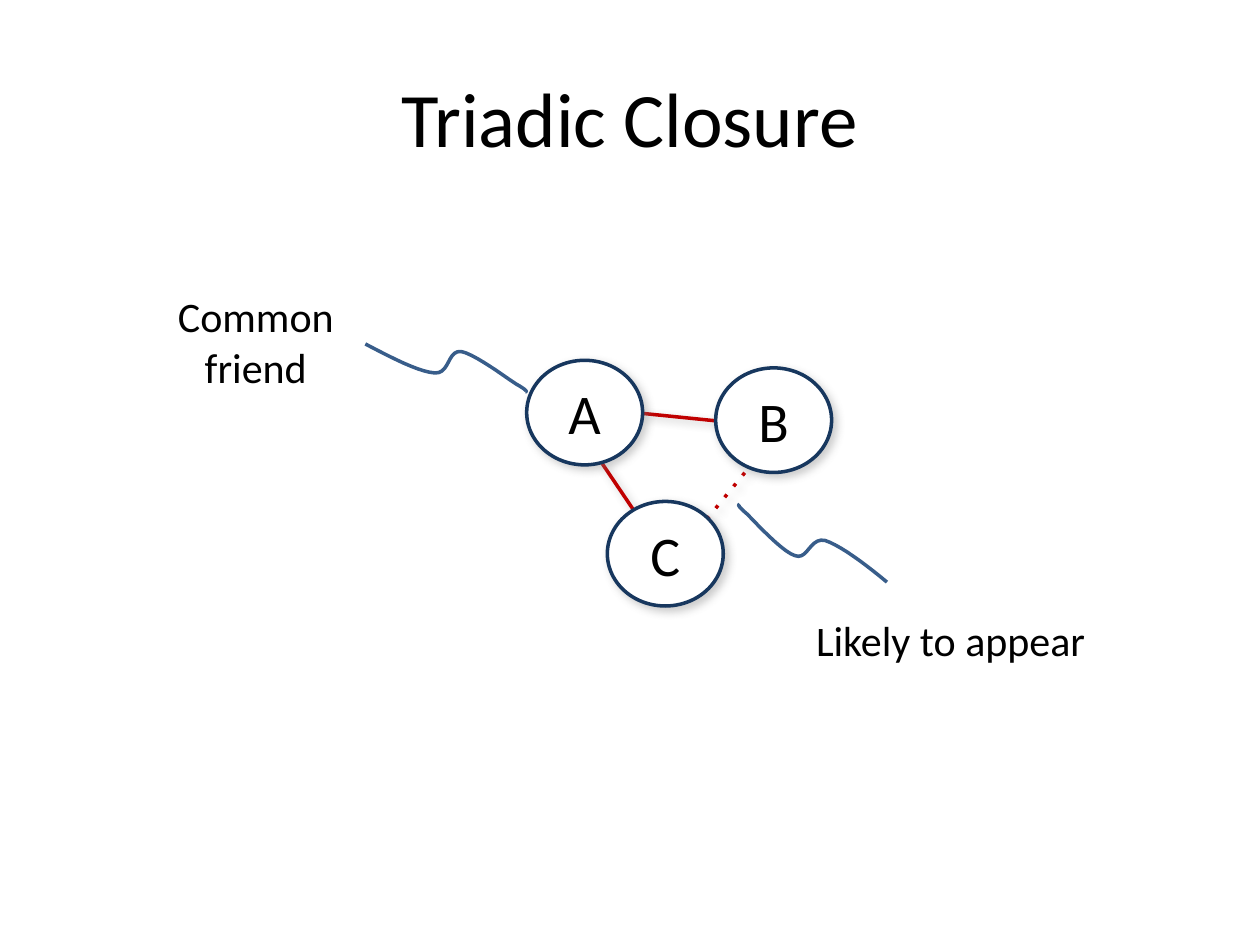
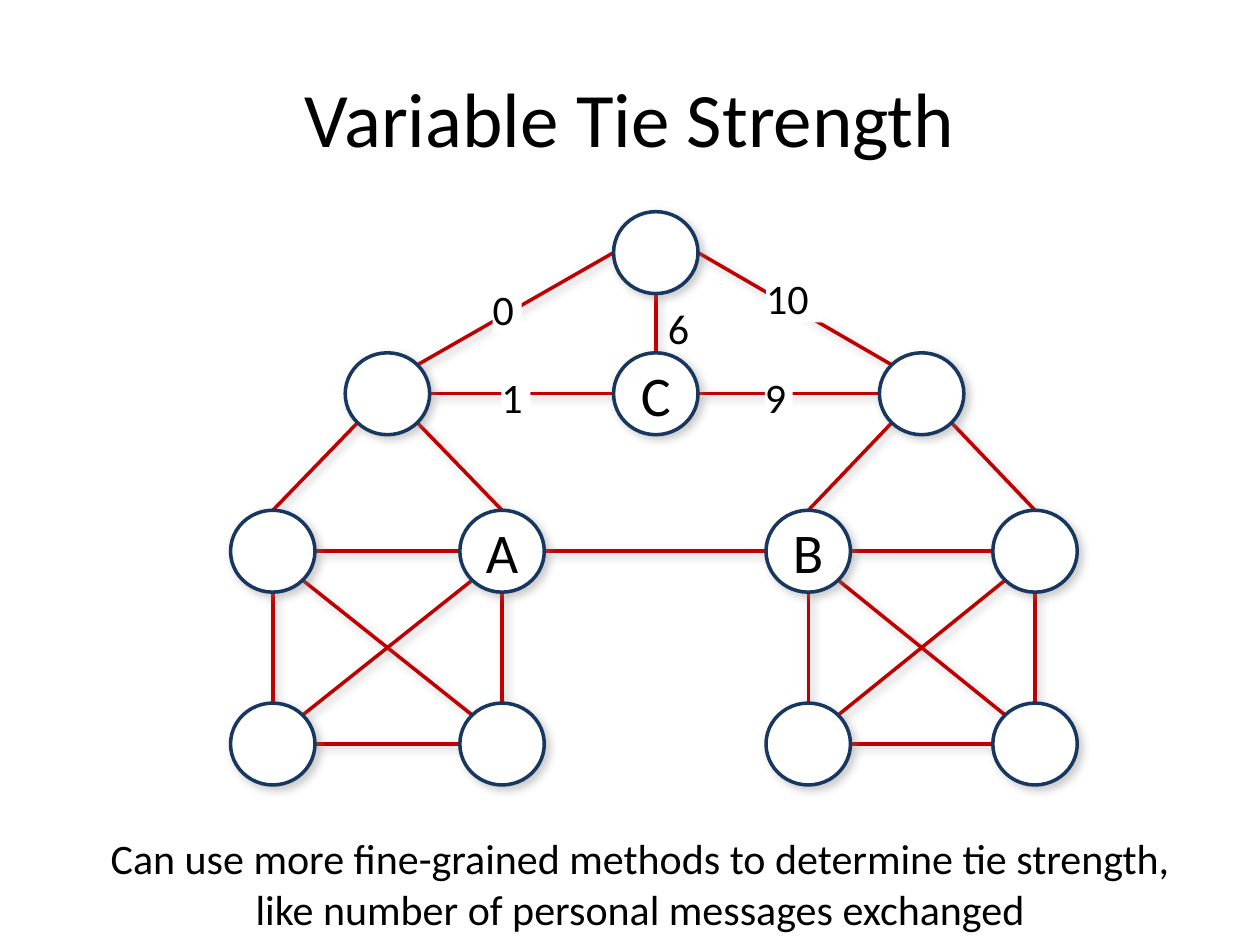
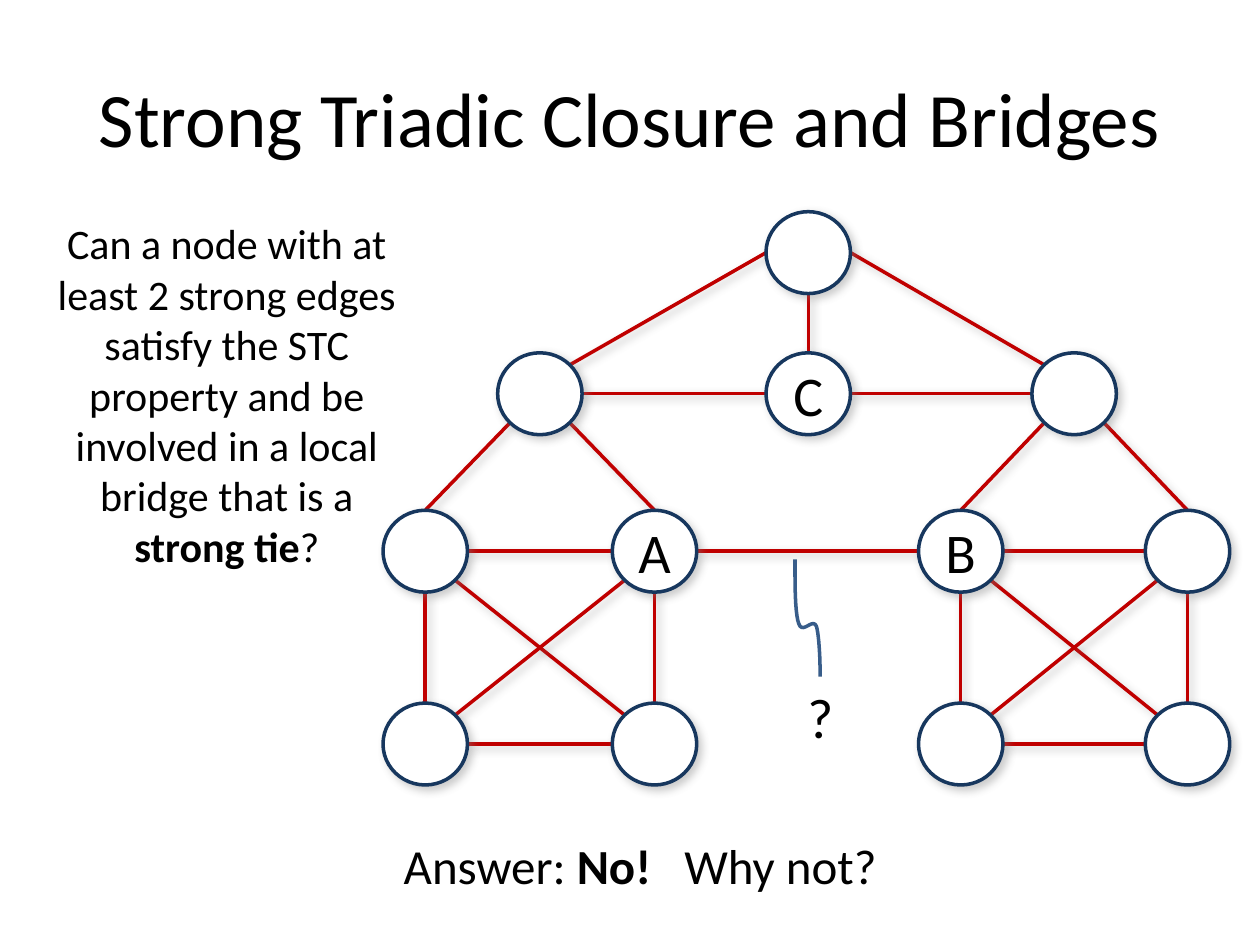
"""Build three slides about triadic closure and tie strength in networks."""
from lxml import etree
from pptx import Presentation
from pptx.dml.color import RGBColor
from pptx.enum.shapes import MSO_CONNECTOR, MSO_SHAPE
from pptx.enum.text import MSO_ANCHOR, PP_ALIGN
from pptx.oxml import parse_xml
from pptx.oxml.ns import nsdecls, qn
from pptx.util import Inches, Pt

CENTER, LEFT = PP_ALIGN.CENTER, PP_ALIGN.LEFT
MIDDLE = MSO_ANCHOR.MIDDLE
OVAL = MSO_SHAPE.OVAL
STRAIGHT = MSO_CONNECTOR.STRAIGHT

COLORS = {
    "text": "000000",
    "node": "FFFFFF",
    "outline": "17375E",
    "edge": "C00000",
    "pointer": "385D8A",
    "shadow": "808080",
}
FONT = "Calibri"
LINE_WIDTH = Pt(2)
GAP = " "
CURVE_STEPS = 10

NODE_WIDTH, NODE_HEIGHT = 0.67, 0.65
NETWORK_NODES = {
    "top": (4.87, 1.68, ""),
    "C": (4.87, 2.8, "C"),
    "left": (2.74, 2.8, ""),
    "right": (6.98, 2.8, ""),
    "A": (3.65, 4.05, "A"),
    "A side": (1.83, 4.05, ""),
    "A below": (3.65, 5.58, ""),
    "A corner": (1.83, 5.58, ""),
    "B": (6.08, 4.05, "B"),
    "B side": (7.88, 4.05, ""),
    "B below": (6.08, 5.58, ""),
    "B corner": (7.88, 5.58, ""),
}
SITES = {
    "n": (0.5, 0), "s": (0.5, 1), "w": (0, 0.5), "e": (1, 0.5),
    "nw": (0.15, 0.15), "ne": (0.85, 0.15), "sw": (0.15, 0.85), "se": (0.85, 0.85),
}
NETWORK_EDGES = [
    ("top", "w", "left", "ne"), ("top", "e", "right", "nw"), ("top", "s", "C", "n"),
    ("left", "e", "C", "w"), ("C", "e", "right", "w"), ("A", "e", "B", "w"),
    ("left", "sw", "A side", "n"), ("left", "se", "A", "n"),
    ("right", "sw", "B", "n"), ("right", "se", "B side", "n"),
]
for west, east, west_below, east_below in [
    ("A side", "A", "A corner", "A below"),
    ("B", "B side", "B below", "B corner"),
]:
    NETWORK_EDGES += [
        (west, "e", east, "w"), (west_below, "e", east_below, "w"),
        (west, "s", west_below, "n"), (east, "s", east_below, "n"),
        (west, "se", east_below, "nw"), (east, "sw", west_below, "ne"),
    ]

networks = []
for shift in (0, 1.21):
    nodes = [(left + shift, top, label) for left, top, label in NETWORK_NODES.values()]
    edges = []
    for start, start_site, end, end_site in NETWORK_EDGES:
        ends = []
        for name, site in ((start, start_site), (end, end_site)):
            left, top, label = NETWORK_NODES[name]
            across, down = SITES[site]
            ends += [left + shift + across * NODE_WIDTH, top + down * NODE_HEIGHT]
        edges.append((*ends, "solid"))
    networks.append({"node_size": (NODE_WIDTH, NODE_HEIGHT), "nodes": nodes, "edges": edges})

SLIDES = [
    {
        "title": "Triadic Closure",
        "node_size": (0.92, 0.83),
        "nodes": [(4.18, 2.86, "A"), (4.82, 3.98, "C"), (5.68, 2.92, "B")],
        "edges": [
            (5.09, 3.28, 5.68, 3.34, "solid"),
            (5.03, 4.05, 4.78, 3.68, "solid"),
            (5.61, 4.12, 5.97, 3.68, "dot"),
        ],
        "texts": [
            ((6.17, 4.83, 2.75, 0.5), "Likely to appear", [], 24, CENTER),
            ((0.97, 2.26, 2.12, 0.9), "Common\nfriend", [], 24, CENTER),
        ],
        "weights": [],
        "pointers": [
            [(4.17, 3.11), (4.18, 3.11), (4.19, 3.1), (4.1, 3.05), (4.02, 3),
             (3.77, 2.81), (3.66, 2.79), (3.55, 2.78), (3.57, 2.97), (3.45, 2.96),
             (3.32, 2.95), (3.11, 2.84), (2.9, 2.73)],
            [(5.87, 4), (5.86, 4.01), (5.85, 4.01), (5.93, 4.08), (6, 4.15),
             (6.21, 4.38), (6.31, 4.41), (6.41, 4.45), (6.43, 4.26), (6.55, 4.29),
             (6.67, 4.33), (6.86, 4.47), (7.04, 4.62)],
        ],
    },
    {
        "title": "Variable Tie Strength",
        **networks[0],
        "texts": [
            ((0.62, 6.56, 8.92, 0.9),
             "Can use more fine-grained methods to determine tie strength, "
             "like number of personal messages exchanged", [], 24, CENTER),
        ],
        "weights": [
            ((3.98, 2.95, 0.23, 0.4), "1"),
            ((3.91, 2.25, 0.23, 0.4), "0"),
            ((6.08, 2.16, 0.45, 0.4), "10"),
            ((5.3, 2.4, 0.23, 0.4), "6"),
            ((6.07, 2.95, 0.22, 0.4), "9"),
        ],
        "pointers": [],
    },
    {
        "title": "Strong Triadic Closure and Bridges",
        **networks[1],
        "texts": [
            ((0.62, 6.58, 8.92, 0.57), "Answer: ",
             [("No!", True), (GAP, False), ("Why not?", False)], 28, CENTER),
            ((0.23, 1.68, 3.14, 2.9),
             "Can a node with at least 2 strong edges satisfy the STC property "
             "and be involved in a local bridge that is a ",
             [("strong tie", True), ("?", False)], 24, CENTER),
            ((6.31, 5.37, 0.69, 0.63), "?", [], 32, LEFT),
        ],
        "weights": [],
        "pointers": [
            [(6.51, 5.37), (6.51, 5.21), (6.5, 5.04), (6.48, 4.97), (6.45, 4.9),
             (6.37, 5.04), (6.34, 4.95), (6.31, 4.87), (6.31, 4.65), (6.31, 4.44)],
        ],
    },
]


def write_text(frame, text, size, alignment, more_runs=()):
    frame.word_wrap = True
    paragraph = frame.paragraphs[0]
    paragraph.text = text
    for run_text, bold in more_runs:
        run = paragraph.add_run()
        run.text = run_text
        run.font.bold = bold
        if run_text == GAP:
            run.font._element.set("spc", "1260")
    paragraph.alignment = alignment
    paragraph.font.name = FONT
    paragraph.font.size = Pt(size)
    paragraph.font.color.rgb = RGBColor.from_string(COLORS["text"])


def style_line(shape, color, shadow):
    shape.line.color.rgb = RGBColor.from_string(COLORS[color])
    shape.line.width = LINE_WIDTH
    content = ""
    if shadow:
        content = (
            '<a:outerShdw blurRad="63500" dist="38100" dir="2700000" algn="tl" rotWithShape="0">'
            f'<a:srgbClr val="{COLORS["shadow"]}"><a:alpha val="40000"/></a:srgbClr></a:outerShdw>'
        )
    effects = parse_xml(f'<a:effectLst {nsdecls("a")}>{content}</a:effectLst>')
    shape._element.spPr.append(effects)


presentation = Presentation()
presentation.slide_width = Inches(10)
presentation.slide_height = Inches(7.5)

for content in SLIDES:
    slide = presentation.slides.add_slide(presentation.slide_layouts[6])
    shapes = slide.shapes

    title = shapes.add_textbox(Inches(0.5), Inches(0.3), Inches(9), Inches(1.25))
    title.text_frame.vertical_anchor = MIDDLE
    write_text(title.text_frame, content["title"], 44, CENTER)

    for *ends, dash in content["edges"]:
        edge = shapes.add_connector(STRAIGHT, *map(Inches, ends))
        style_line(edge, "edge", True)
        if dash != "solid":
            outline = edge._element.spPr.find(qn("a:ln"))
            etree.SubElement(outline, qn("a:prstDash"), val=dash)

    for left, top, label in content["nodes"]:
        node = shapes.add_shape(OVAL, *map(Inches, (left, top, *content["node_size"])))
        node.fill.solid()
        node.fill.fore_color.rgb = RGBColor.from_string(COLORS["node"])
        style_line(node, "outline", True)
        if label:
            node.text_frame.vertical_anchor = MIDDLE
            write_text(node.text_frame, label, 32, CENTER)

    for box, text, more_runs, size, alignment in content["texts"]:
        note = shapes.add_textbox(*map(Inches, box))
        write_text(note.text_frame, text, size, alignment, more_runs)

    for box, text in content["weights"]:
        weight = shapes.add_textbox(*map(Inches, box))
        weight.fill.solid()
        weight.fill.fore_color.rgb = RGBColor.from_string(COLORS["node"])
        frame = weight.text_frame
        frame.margin_left = frame.margin_right = frame.margin_top = frame.margin_bottom = 0
        write_text(frame, text, 24, LEFT)

    for controls in content["pointers"]:
        points = []
        for first in range(0, len(controls) - 1, 3):
            for step in range(1, CURVE_STEPS + 1):
                t = step / CURVE_STEPS
                factors = ((1 - t) ** 3, 3 * t * (1 - t) ** 2, 3 * t * t * (1 - t), t ** 3)
                segment = zip(*controls[first:first + 4])
                points.append([
                    Inches(sum(factor * value for factor, value in zip(factors, axis)))
                    for axis in segment
                ])
        builder = shapes.build_freeform(*map(Inches, controls[0]))
        builder.add_line_segments(points, close=False)
        pointer = builder.convert_to_shape()
        pointer.fill.background()
        style_line(pointer, "pointer", False)

presentation.save("out.pptx")
